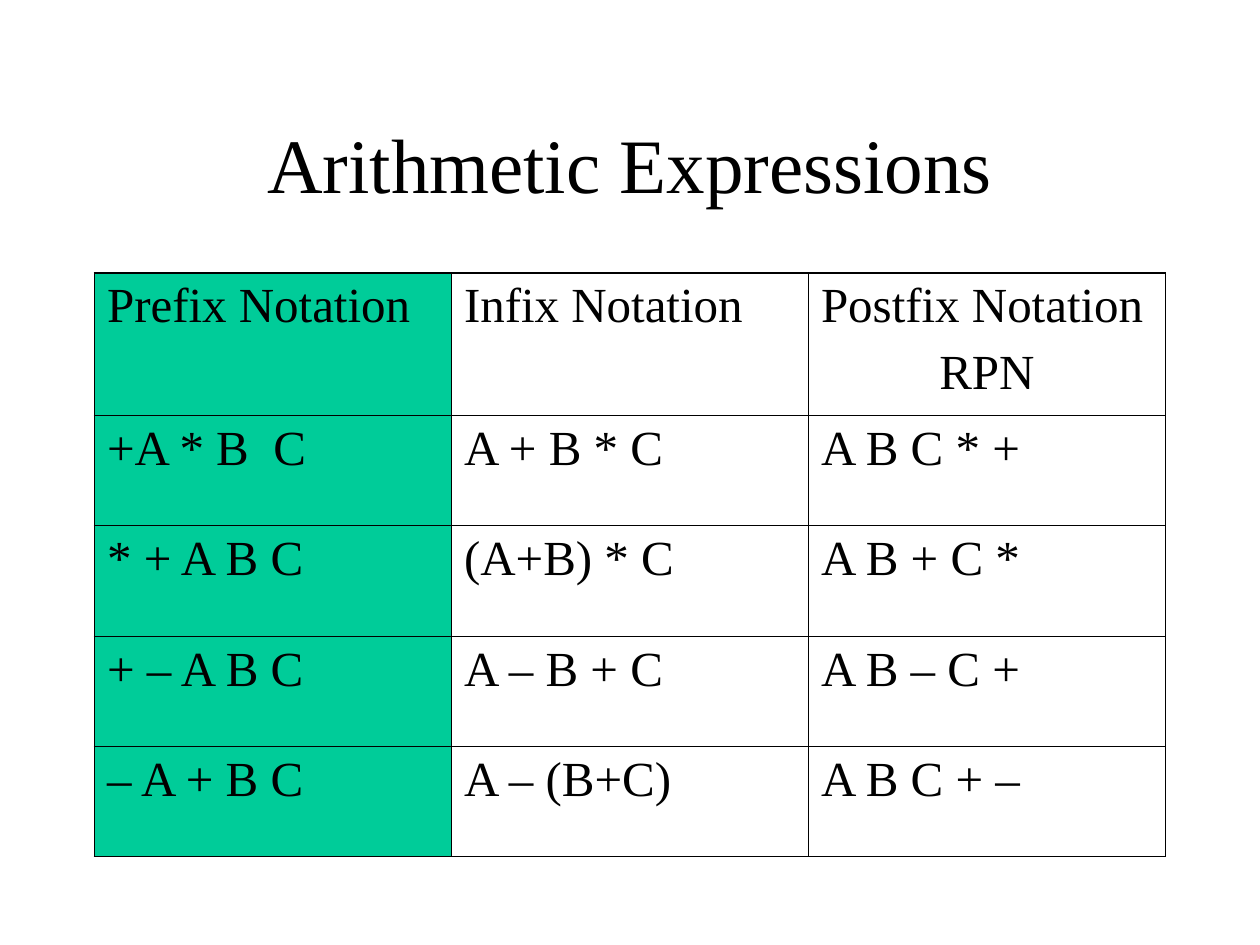
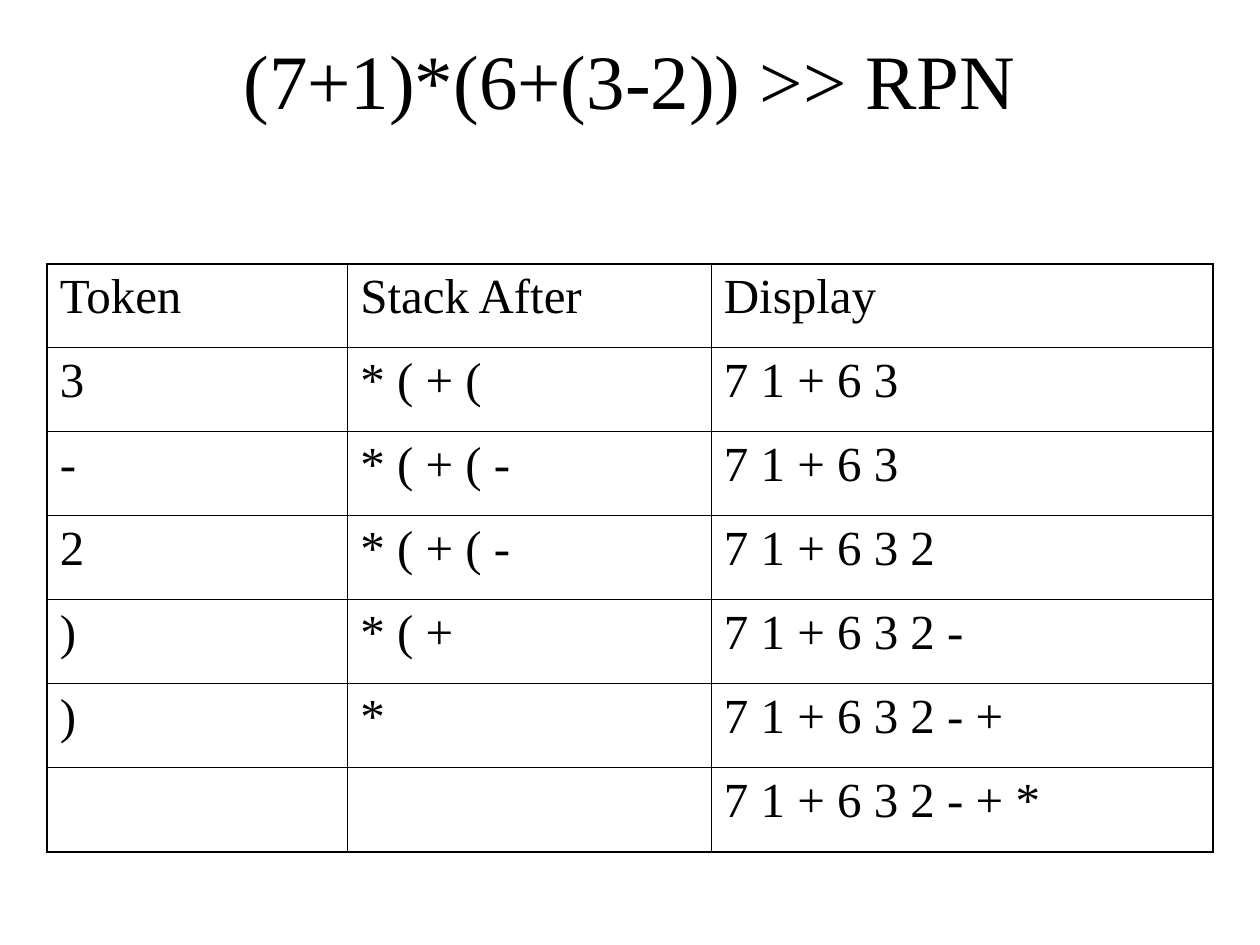
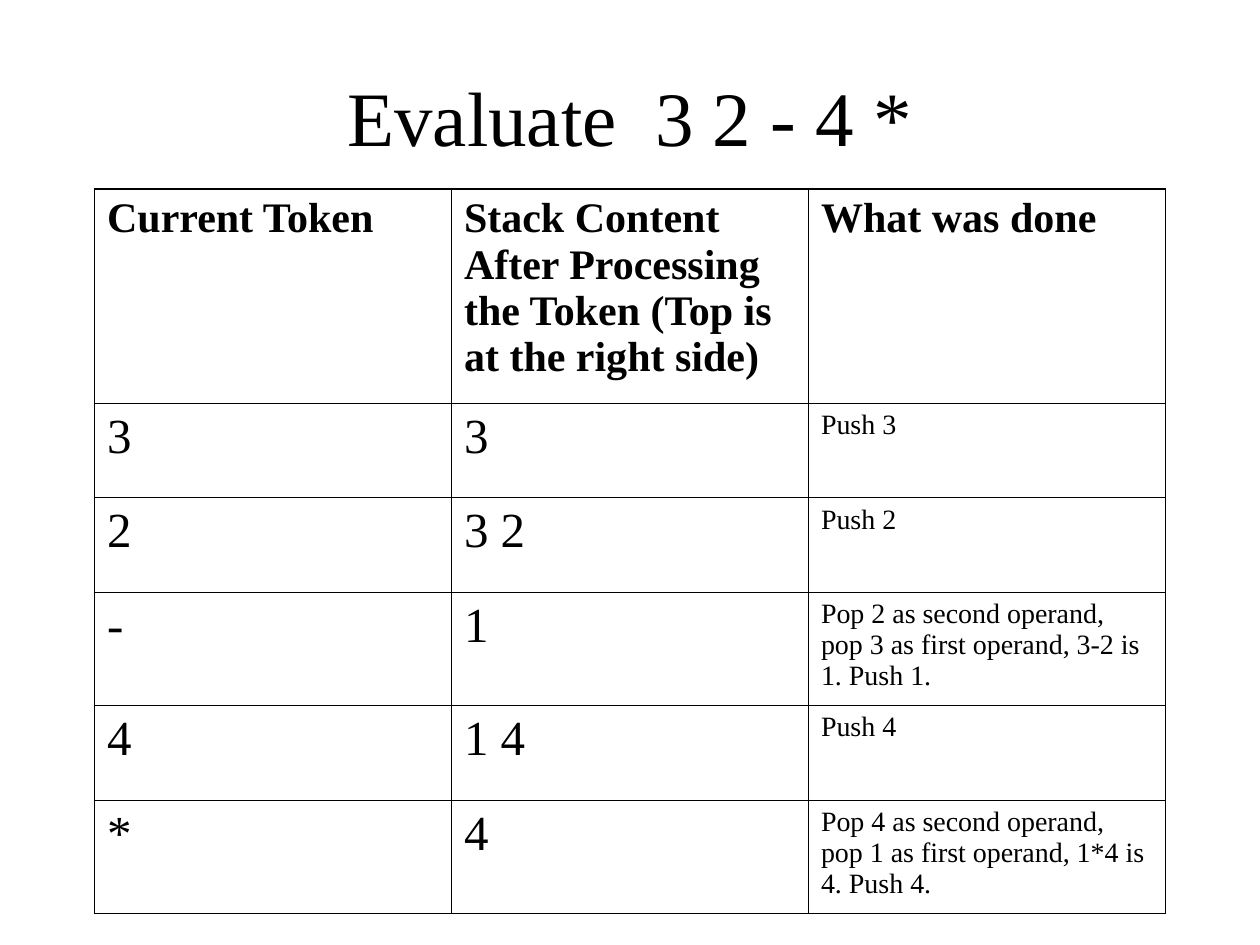
from lxml.etree import SubElement
from pptx import Presentation
from pptx.dml.color import RGBColor
from pptx.enum.text import MSO_ANCHOR, PP_ALIGN
from pptx.oxml.ns import qn
from pptx.util import Pt

SCALE = 9525  # EMU in one px, at 96 px to the inch
FONT = "Times New Roman"
COLORS = {"ink": "000000", "mark": "00CC99"}
THIN, THICK = Pt(0.45), Pt(1.08)


def write(para, text, size, bold=False):
    run = para.add_run()
    run.text = text
    run.font.name = FONT
    run.font.size = Pt(size)
    run.font.bold = bold
    run.font.color.rgb = RGBColor.from_string(COLORS["ink"])


def add_edge(cell, side, width):
    """Draw one border of a cell; side is L, R, T or B."""
    line = SubElement(cell._tc.get_or_add_tcPr(), qn("a:ln" + side), w=str(width))
    fill = SubElement(line, qn("a:solidFill"))
    SubElement(fill, qn("a:srgbClr"), val=COLORS["ink"])


# head and body give the text size of each column
pages = [
    {
        "title": "Arithmetic Expressions",
        "box": (72, 64, 816, 120),
        "spot": (72, 208),
        "cols": [272] * 3,
        "rows": [107] + [84] * 4,
        "head": [28] * 3,
        "body": [28] * 3,
        "marked": [0],
        "cells": [
            ["Prefix Notation", "Infix Notation", "Postfix Notation\nRPN"],
            ["+A * B  C", "A + B * C", "A B C * +"],
            ["* + A B C", "(A+B) * C", "A B + C *"],
            ["+ – A B C", "A – B + C", "A B – C +"],
            ["– A + B C", "A – (B+C)", "A B C + –"],
        ],
    },
    {
        "title": "(7+1)*(6+(3-2)) >> RPN",
        "box": (72, 0, 816, 120),
        "spot": (36, 201),
        "cols": [229, 277, 382],
        "rows": [64] * 7,
        "head": [28] * 3,
        "body": [28] * 3,
        "marked": [],
        "cells": [
            ["Token", "Stack After", "Display"],
            ["3", "* ( + (", "7 1 + 6 3"],
            ["-", "* ( + ( -", "7 1 + 6 3"],
            ["2", "* ( + ( -", "7 1 + 6 3 2"],
            [")", "* ( +", "7 1 + 6 3 2 -"],
            [")", "*", "7 1 + 6 3 2 - +"],
            ["", "", "7 1 + 6 3 2 - + *"],
        ],
    },
    {
        "title": "Evaluate  3 2 - 4 *",
        "box": (72, 64, 816, 48),
        "spot": (72, 144),
        "cols": [272] * 3,
        "rows": [163, 72, 72, 86, 72, 86],
        "head": [24] * 3,
        "body": [28, 28, 16],
        "marked": [],
        "cells": [
            [
                "Current Token",
                "Stack Content After Processing the Token (Top is at the right side)",
                "What was done",
            ],
            ["3", "3", "Push 3"],
            ["2", "3 2", "Push 2"],
            ["-", "1", "Pop 2 as second operand, pop 3 as first operand, 3-2 is 1. Push 1."],
            ["4", "1 4", "Push 4"],
            ["*", "4", "Pop 4 as second operand, pop 1 as first operand, 1*4 is 4. Push 4."],
        ],
    },
]

deck = Presentation()
deck.slide_width, deck.slide_height = 960 * SCALE, 720 * SCALE

for page in pages:
    slide = deck.slides.add_slide(deck.slide_layouts[6])

    frame = slide.shapes.add_textbox(*[n * SCALE for n in page["box"]]).text_frame
    frame.word_wrap = True
    frame.vertical_anchor = MSO_ANCHOR.MIDDLE
    frame.paragraphs[0].alignment = PP_ALIGN.CENTER
    write(frame.paragraphs[0], page["title"], 44)

    cols, rows = page["cols"], page["rows"]
    area = (*page["spot"], sum(cols), sum(rows))
    table = slide.shapes.add_table(len(rows), len(cols), *[n * SCALE for n in area]).table
    table.first_row = table.horz_banding = False
    for col, width in zip(table.columns, cols):
        col.width = width * SCALE
    for row, height in zip(table.rows, rows):
        row.height = height * SCALE

    for r, texts in enumerate(page["cells"]):
        sizes = page["body"] if r else page["head"]
        for c, text in enumerate(texts):
            cell = table.cell(r, c)
            outer = {
                "L": c == 0,
                "R": c == len(cols) - 1,
                "T": r == 0,
                "B": r == len(rows) - 1,
            }
            for side, thick in outer.items():
                add_edge(cell, side, THICK if thick else THIN)
            if c in page["marked"]:
                cell.fill.solid()
                cell.fill.fore_color.rgb = RGBColor.from_string(COLORS["mark"])
            else:
                cell.fill.background()

            size = sizes[c]
            for i, line in enumerate(text.split("\n") if text else []):
                para = cell.text_frame.add_paragraph() if i else cell.text_frame.paragraphs[0]
                para.space_before = Pt(size / 4)
                para.alignment = PP_ALIGN.CENTER if i else PP_ALIGN.LEFT
                write(para, line, size, bold=size == 24)

deck.save("out.pptx")
